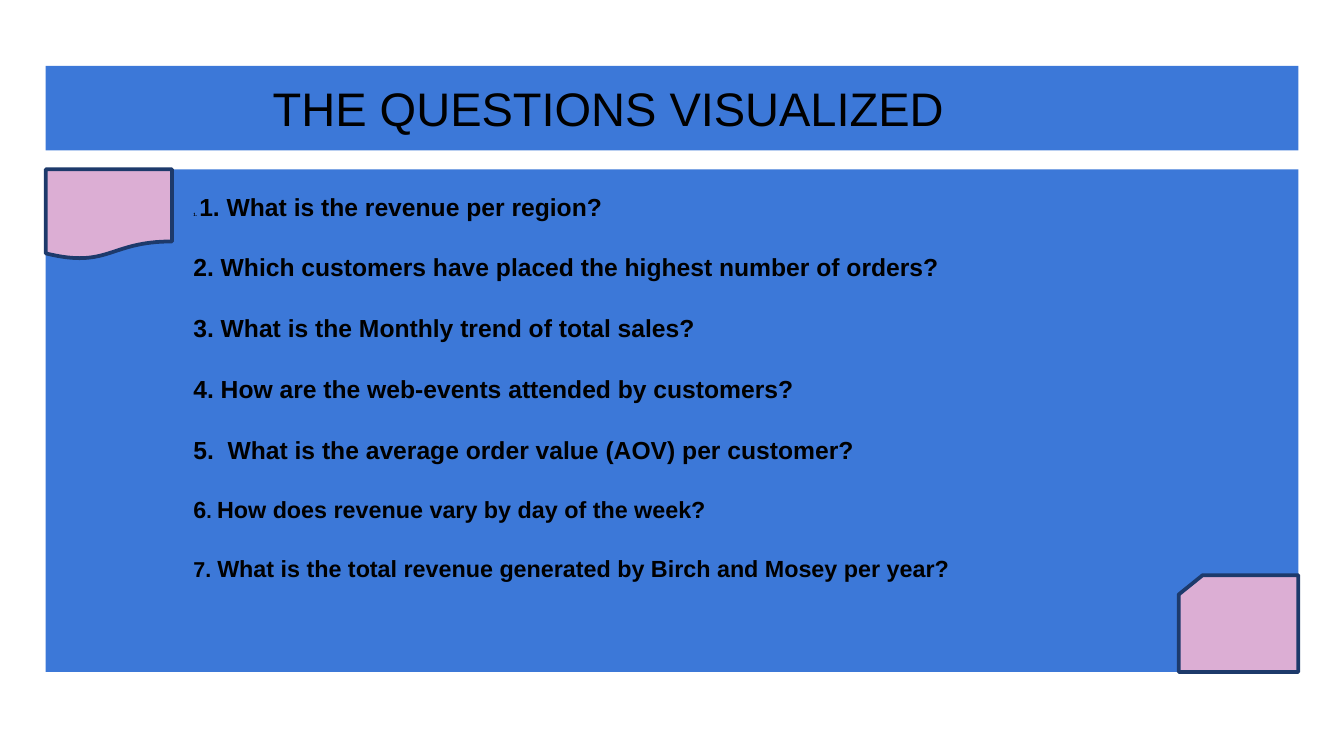
from pptx import Presentation
from pptx.dml.color import RGBColor
from pptx.enum import shapes, text
from pptx.util import Inches, Pt

BLUE, PINK, NAVY, BLACK = "3C78D8", "DCAED4", "1D3A6B", "000000"
LEFT, WIDE = 0.34, 9.32
KIND = shapes.MSO_SHAPE
ANCHOR = text.MSO_ANCHOR

TITLE = [[(" THE QUESTIONS VISUALIZED", 25.2)]]
ASKS = [
    [("1.", 2.5), (" ", 4), ("1. What is the revenue per region?", 13.2)],
    [("2. Which customers have placed the highest number of orders?", 13.2)],
    [("3. What is the Monthly trend of total sales?", 13.2)],
    [("4. How are the web-events attended by customers?", 13.2)],
    [("5.  What is the average order value (AOV) per customer?", 13.2)],
    [("6", 12.5), (". ", 10.5),
     ("How does revenue vary by day of the week?", 12.5)],
    [("7. ", 11.5),
     ("What is the total revenue generated by Birch and Mosey per year?", 12.5)],
]
PANELS = [
    dict(top=0.49, high=0.63, lines=TITLE, indent=1.5, bold=False,
         anchor=ANCHOR.MIDDLE, form={}),
    dict(top=1.26, high=3.74, lines=ASKS, indent=1, bold=True,
         anchor=ANCHOR.TOP, form=dict(line_spacing=1.3, space_before=Pt(12))),
]
CARDS = [
    (KIND.FLOWCHART_CARD, 8.77, 4.28, 0.89, 0.72),
    (KIND.FLOWCHART_DOCUMENT, LEFT, 1.26, 0.94, 0.67),
]


def color(code):
    return RGBColor.from_string(code)


def apply(item, form):
    for key, value in form.items():
        setattr(item, key, value)


def draw(slide, kind, box, fill, line=None):
    shape = slide.shapes.add_shape(kind, *map(Inches, box))
    shape.shadow.inherit = False
    shape.fill.solid()
    shape.fill.fore_color.rgb = color(fill)
    if line:
        shape.line.color.rgb = color(line)
        shape.line.width = Pt(2)
    else:
        shape.line.fill.background()
    return shape


def write(shape, panel):
    frame = shape.text_frame
    pad = Inches(0.1)
    apply(frame, dict(word_wrap=True, vertical_anchor=panel["anchor"],
                      margin_left=pad, margin_right=pad,
                      margin_top=pad, margin_bottom=pad))
    for i, runs in enumerate(panel["lines"]):
        para = frame.add_paragraph() if i else frame.paragraphs[0]
        apply(para, dict(alignment=text.PP_ALIGN.LEFT, **panel["form"]))
        para._p.get_or_add_pPr().set("marL", str(Inches(panel["indent"])))
        for words, size in runs:
            run = para.add_run()
            run.text = words
            apply(run.font, dict(name="Arial", size=Pt(size), bold=panel["bold"]))
            run.font.color.rgb = color(BLACK)


def main():
    deck = Presentation()
    apply(deck, dict(slide_width=Inches(10), slide_height=Inches(10 * 9 / 16)))
    slide = deck.slides.add_slide(deck.slide_layouts[6])
    for panel in PANELS:
        box = (LEFT, panel["top"], WIDE, panel["high"])
        write(draw(slide, KIND.RECTANGLE, box, BLUE), panel)
    for kind, *box in CARDS:
        draw(slide, kind, box, PINK, NAVY)
    deck.save("out.pptx")


if __name__ == "__main__":
    main()
